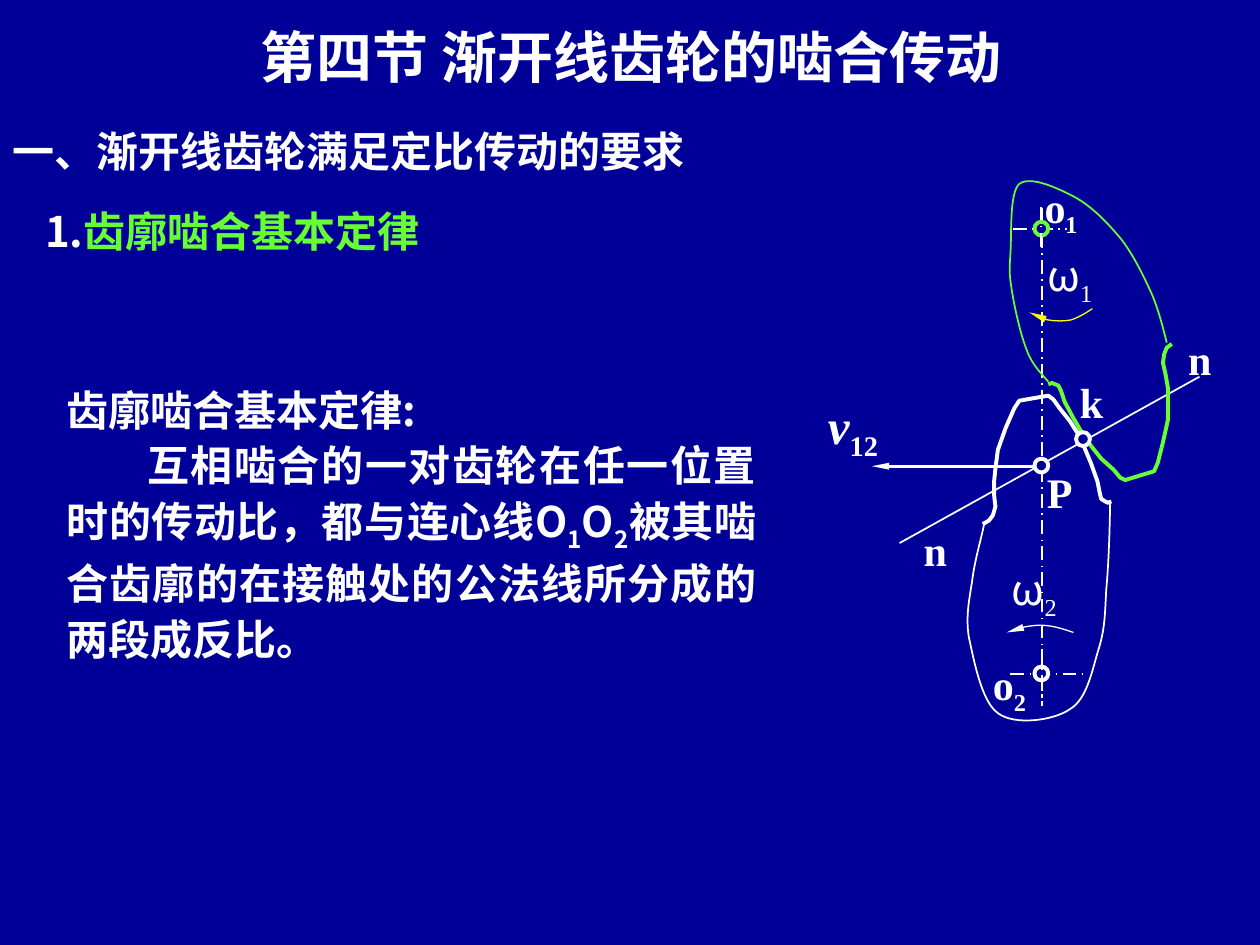
"""Build the slide on the basic law of gear-tooth engagement."""
from lxml.etree import SubElement
from pptx import Presentation
from pptx.dml.color import RGBColor
from pptx.enum.dml import MSO_LINE
from pptx.enum.shapes import MSO_CONNECTOR as CONN, MSO_SHAPE as SHAPE
from pptx.enum.text import MSO_ANCHOR as ANCHOR, MSO_AUTO_SIZE as AUTO, PP_ALIGN as ALIGN
from pptx.oxml.ns import qn
from pptx.util import Inches, Pt

COLORS = {"navy": "000099", "white": "FFFFFF", "green": "66FF33", "yellow": "FFFF00"}
SANS, SERIF = "Noto Sans CJK SC", "Times New Roman"
SUB = {"sub": True}

HEADINGS = [
    ((1.0, 0.13, 8.02, 0.64), ["第四节 渐开线齿轮的啮合传动"], {"size": 32, "align": ALIGN.CENTER}),
    ((0, 0.95, 6.98, 0.5), ["一、渐开线齿轮满足定比传动的要求"], {"align": ALIGN.LEFT}),
    ((0.26, 1.58, 5.07, 0.5), ["1.", ("齿廓啮合基本定律", {"color": "green"})], {}),
]
LAW_BOX = (0.43, 2.96, 5.67, 2.36)
LAW = [
    ["齿廓啮合基本定律:"],
    ["互相啮合的一对齿轮在任一位置时的传动比，都与连心线O", ("1", SUB), "O", ("2", SUB),
     "被其啮合齿廓的在接触处的公法线所分成的两段成反比。"],
]
TALL = {"spacing": 1.44}
OMEGA = {"font": SANS, "bold": False, "align": ALIGN.CENTER, "anchor": ANCHOR.MIDDLE}
SERIF_SUB = {"sub": True, "font": SERIF}
LABELS = [
    ((8.29, 1.24, 0.4, 0.66), ["o", ("1", SUB)], {**TALL, "wrap": True}),
    ((7.88, 5.03, 0.4, 0.66), ["o", ("2", SUB)], {**TALL, "wrap": True}),
    ((7.33, 3.99, 0.19, 0.58), ["n"], TALL),
    ((9.43, 2.47, 0.19, 0.58), ["n"], TALL),
    ((8.31, 3.7, 0.2, 0.4), ["P"], {}),
    ((8.57, 2.99, 0.19, 0.4), ["k"], {}),
    ((8.27, 1.98, 0.44, 0.46), ["ω", ("1", SERIF_SUB)], OMEGA),
    ((8.03, 4.47, 0.36, 0.46), ["ω", ("2", SERIF_SUB)], OMEGA),
    ((6.47, 3.09, 0.6, 0.63), [("v", {"italic": True}), ("12", SUB)],
     {"size": 28, "align": ALIGN.CENTER, "insets": (0.1, 0.05)}),
]

TEETH = [
    ("green", [(9.3, 2.73), (9.26, 2.76), (9.24, 2.81), (9.23, 2.88), (9.25, 2.97), (9.27, 3.08),
               (9.27, 3.18), (9.27, 3.33), (9.23, 3.51), (9.19, 3.67), (9.16, 3.74), (8.93, 3.81),
               (8.89, 3.79), (8.84, 3.73), (8.74, 3.64), (8.66, 3.54), (8.59, 3.44), (8.52, 3.32),
               (8.45, 3.19), (8.42, 3.1), (8.4, 3.06), (8.35, 3.04), (8.32, 3.05)]),
    ("white", [(7.8, 4.16), (7.85, 4.13), (7.88, 4.09), (7.9, 4.02), (7.89, 3.93), (7.89, 3.82),
               (7.9, 3.72), (7.92, 3.57), (7.98, 3.4), (8.05, 3.24), (8.09, 3.18), (8.32, 3.14),
               (8.36, 3.17), (8.41, 3.24), (8.49, 3.34), (8.56, 3.45), (8.61, 3.56), (8.66, 3.68),
               (8.71, 3.82), (8.73, 3.92), (8.74, 3.96), (8.79, 3.99), (8.82, 3.98)]),
]
BODIES = [
    ("green", [(8.32, 3.03), (8.29, 2.99), (8.19, 2.9), (8.15, 2.78), (8.1, 2.66), (8.05, 2.43),
               (8.03, 2.3), (8.01, 2.17), (8.01, 2.15), (8.02, 2.01), (8.03, 1.86), (8.01, 1.53),
               (8.09, 1.46), (8.18, 1.39), (8.41, 1.5), (8.54, 1.57), (8.68, 1.65), (8.8, 1.78),
               (8.9, 1.9), (9, 2.03), (9.08, 2.2), (9.14, 2.33), (9.2, 2.47), (9.24, 2.64),
               (9.26, 2.72)]),
    ("white", [(7.81, 4.16), (7.8, 4.23), (7.74, 4.43), (7.72, 4.58), (7.7, 4.73), (7.66, 4.88),
               (7.69, 5.06), (7.73, 5.24), (7.79, 5.57), (7.92, 5.66), (8.05, 5.76), (8.36, 5.72),
               (8.49, 5.63), (8.63, 5.55), (8.67, 5.31), (8.72, 5.15), (8.77, 4.99), (8.77, 4.87),
               (8.78, 4.68), (8.8, 4.48), (8.81, 4.13), (8.81, 3.99)]),
]
ROTATIONS = [
    ("yellow", [(8.17, 2.48), (8.22, 2.5), (8.27, 2.53), (8.32, 2.54), (8.38, 2.55), (8.44, 2.55),
                (8.5, 2.54), (8.56, 2.52), (8.61, 2.49), (8.67, 2.45)]),
    ("white", [(7.99, 5.02), (8.05, 5), (8.11, 4.98), (8.17, 4.97), (8.23, 4.96), (8.28, 4.96),
               (8.34, 4.97), (8.4, 4.98), (8.46, 5), (8.52, 5.02)]),
]
AXES = [(8.04, 1.82, 8.47, 1.82), (8.27, 1.65, 8.27, 5.6), (8.02, 5.35, 8.59, 5.35)]
CENTER_MARKS = [(8.26, 1.64, 8.26, 1.99), (8.27, 5.15, 8.27, 5.58)]
NORMAL = (7.14, 4.31, 9.52, 2.99)
VELOCITY = (8.23, 3.7, 6.92, 3.7)
CENTERS = [("green", 8.21, 1.76), ("white", 8.21, 5.29)]
POINTS = [("white", 8.21, 3.64), ("white", 8.54, 3.43)]
DIAMETER = 0.11


def rgb(name):
    return RGBColor.from_string(COLORS[name])


def add_run(p, text, size, font, color, bold, italic=False, sub=False):
    r = p.add_run()
    r.text = text
    f = r.font
    f.size, f.name, f.bold, f.italic = Pt(size), font, bold, italic
    f.color.rgb = rgb(color)
    rpr = f._element
    SubElement(rpr, qn("a:ea")).set("typeface", font)
    if sub:
        rpr.set("baseline", "-25000")


def add_text(slide, box, paras, size=24, font=SANS, color="white", bold=True, align=ALIGN.JUSTIFY,
             spacing=None, anchor=ANCHOR.TOP, insets=(0.1, 0.05), wrap=True, indents=(0,)):
    tf = slide.shapes.add_textbox(*map(Inches, box)).text_frame
    tf.word_wrap, tf.auto_size, tf.vertical_anchor = wrap, AUTO.SHAPE_TO_FIT_TEXT, anchor
    tf.margin_left = tf.margin_right = Inches(insets[0])
    tf.margin_top = tf.margin_bottom = Inches(insets[1])
    base = {"size": size, "font": font, "color": color, "bold": bold}
    for i, (runs, indent) in enumerate(zip(paras, indents)):
        p = tf.add_paragraph() if i else tf.paragraphs[0]
        p.alignment, p.line_spacing = align, spacing
        if indent:
            p._p.get_or_add_pPr().set("indent", str(Inches(indent)))
        for run in runs:
            text, extra = (run, {}) if isinstance(run, str) else run
            add_run(p, text, **{**base, **extra})


def style_line(line, color, width, arrow=None):
    line.color.rgb = rgb(color)
    line.width = Pt(width)
    if arrow:
        SubElement(line._get_or_add_ln(), qn(f"a:{arrow}"), type="triangle", w="sm", len="lg")


def add_line(slide, ends, width, dash=None, arrow=None):
    c = slide.shapes.add_connector(CONN.STRAIGHT, *map(Inches, ends))
    c.line.dash_style = dash
    style_line(c.line, "white", width, arrow)
    SubElement(c._element.spPr, qn("a:effectLst"))


def add_outline(slide, color, points, width, curved=False, arrow=None):
    start, *rest = [(Inches(x), Inches(y)) for x, y in points]
    fb = slide.shapes.build_freeform(*start)
    fb.add_line_segments(rest, close=False)
    sp = fb.convert_to_shape()
    sp.shadow.inherit = False
    sp.fill.background()
    style_line(sp.line, color, width, arrow)
    if curved:
        path = sp._element.find(".//" + qn("a:path"))
        steps = path.findall(qn("a:lnTo"))
        for i in range(0, len(steps), 3):
            curve = SubElement(path, qn("a:cubicBezTo"))
            for step in steps[i:i + 3]:
                curve.append(step[0])
                path.remove(step)


def add_circle(slide, color, x, y):
    sp = slide.shapes.add_shape(SHAPE.OVAL, *map(Inches, (x, y, DIAMETER, DIAMETER)))
    sp.shadow.inherit = False
    sp.fill.solid()
    sp.fill.fore_color.rgb = rgb("navy")
    style_line(sp.line, color, 2.25)


def main():
    prs = Presentation()
    prs.slide_width, prs.slide_height = Inches(10), Inches(7.5)
    s = prs.slides.add_slide(prs.slide_layouts[6])
    s.background.fill.solid()
    s.background.fill.fore_color.rgb = rgb("navy")

    for box, runs, fmt in HEADINGS:
        add_text(s, box, [runs], **fmt)
    add_text(s, LAW_BOX, LAW, spacing=1.1, indents=(0, 0.64))
    for ends in AXES:
        add_line(s, ends, 1, dash=MSO_LINE.LONG_DASH_DOT)
    for circle in CENTERS:
        add_circle(s, *circle)
    for ends in CENTER_MARKS:
        add_line(s, ends, 1, dash=MSO_LINE.LONG_DASH_DOT)
    add_line(s, NORMAL, 1)
    add_line(s, VELOCITY, 1.5, arrow="tailEnd")
    for color, points in BODIES:
        add_outline(s, color, points, 1, curved=True)
    for color, points in TEETH:
        add_outline(s, color, points, 2.25)
    for color, points in ROTATIONS:
        add_outline(s, color, points, 0.75, curved=True, arrow="headEnd")
    for circle in POINTS:
        add_circle(s, *circle)
    label_fmt = {"font": SERIF, "insets": (0, 0), "wrap": False, "align": ALIGN.LEFT}
    for box, runs, fmt in LABELS:
        add_text(s, box, [runs], **{**label_fmt, **fmt})
    prs.save("out.pptx")


if __name__ == "__main__":
    main()
